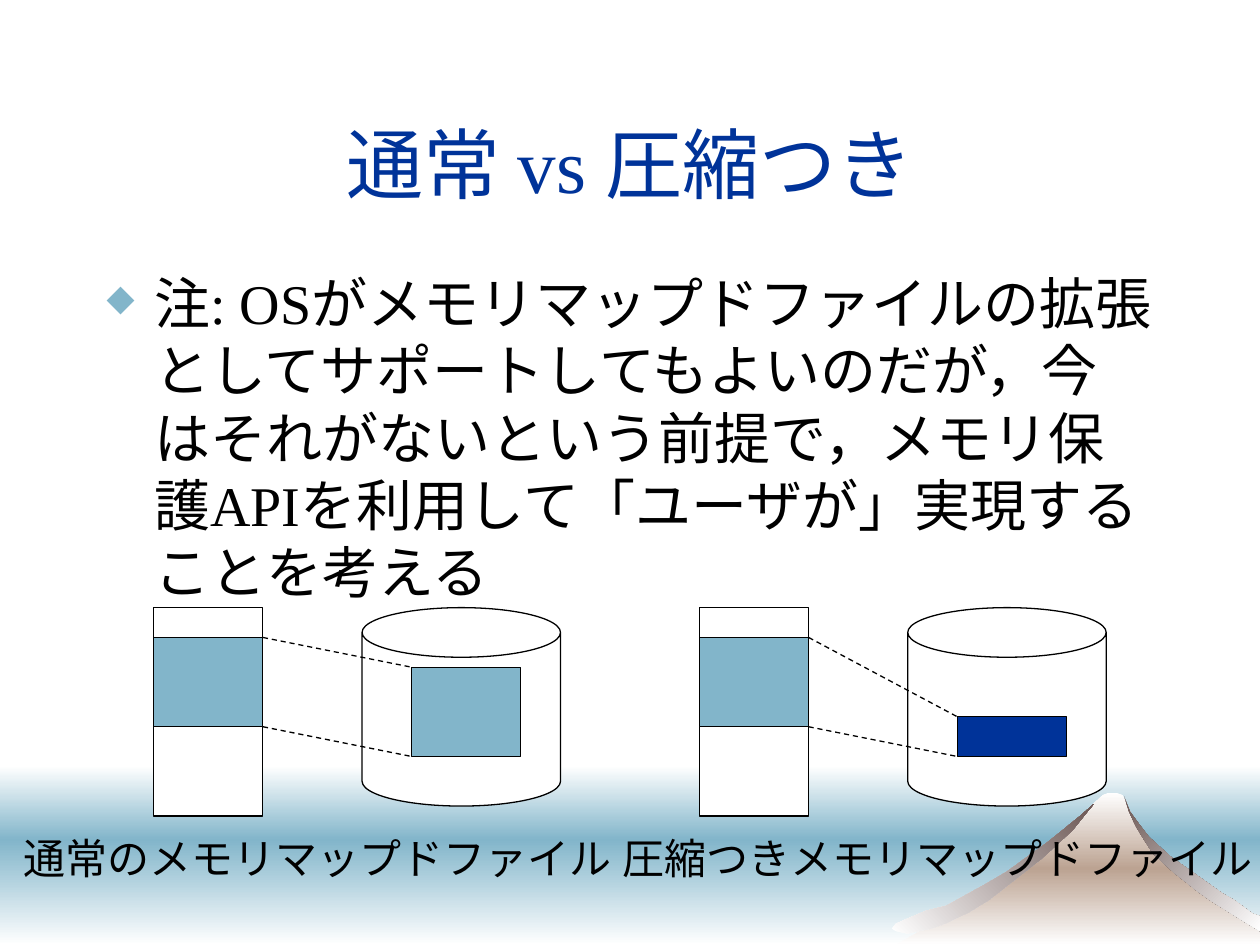
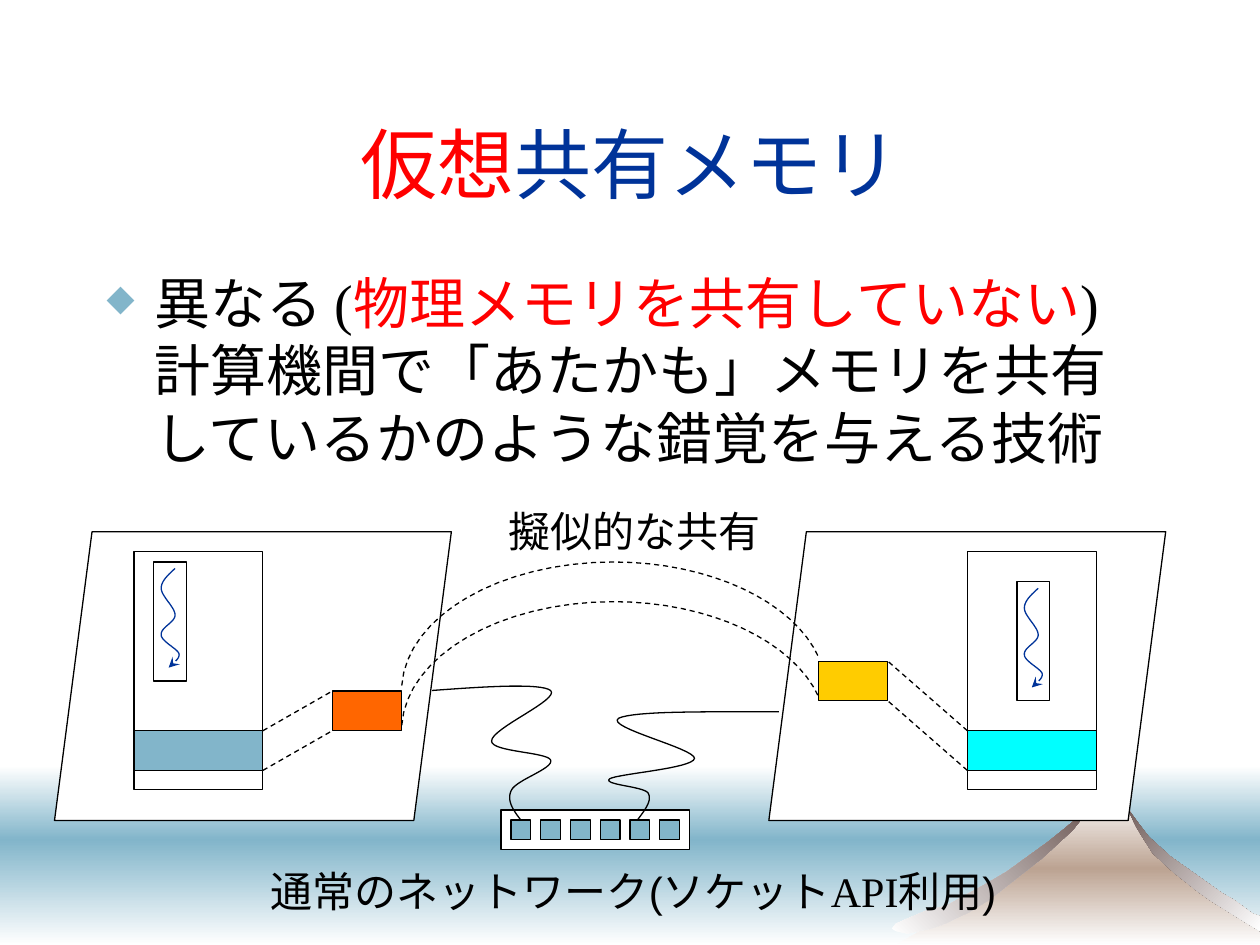
from copy import deepcopy
from dataclasses import dataclass

from lxml import etree
from pptx import Presentation
from pptx.dml.color import RGBColor
from pptx.enum import dml, lang, shapes, text
from pptx.oxml.ns import qn
from pptx.util import Cm, Pt

HUES = {
    "white": "FFFFFF", "black": "000000", "sky": "82B5CA", "navy": "003399",
    "red": "FF0000", "orange": "FF6600", "gold": "FFCC00", "cyan": "00FFFF",
    "sand": "BCA392", "rock": "6B5653",
}
SERIF, SANS = "Times New Roman", "Arial"
KIND = shapes.MSO_SHAPE
WIDE, HIGH = 25.4, 19.05

Point = tuple[float, float]


@dataclass
class Run:
    text: str
    hue: str | None = None
    face: str | None = None


@dataclass
class Slope:
    pts: list[Point]
    stops: list[str]
    angle: int


@dataclass
class Map:
    """A memory page mapped to a block of a file on disk."""
    left: float
    top: float
    tall: float
    hue: str


@dataclass
class Node:
    """A computer with its page, running thread and shared chunk."""
    left: float
    page: float
    thread: Point
    tint: str
    chunk: Point
    hue: str


SLOPES = [
    Slope([(18.06, 19.05), (20.07, 17.91), (21.34, 16.92), (22.07, 16.18),
           (22.23, 16.03), (22.35, 15.98), (22.5, 15.98), (22.63, 16.03),
           (22.94, 16.69), (23.42, 17.27), (24.59, 18.08), (25.4, 18.62),
           (25.4, 19.05)], ["white", "sand", "white"], 90),
    Slope([(23.24, 17.2), (23.65, 17.58), (24.13, 17.96), (24.41, 18.16),
           (25.15, 18.62), (25.4, 18.77), (25.4, 18.47), (25.25, 18.42),
           (24.87, 18.14), (24.64, 18.01), (23.6, 17.27), (23.16, 16.87),
           (22.96, 16.61), (22.78, 16.36), (22.66, 16.05), (22.76, 16.36),
           (22.89, 16.64), (23.04, 16.89)], ["rock", "white"], 45),
    Slope([(21.13, 16.97), (20.29, 17.58), (19.86, 17.83), (19.08, 18.26),
           (18.67, 18.36), (18.29, 18.52), (18.06, 18.62), (17.98, 18.72),
           (18.06, 18.77), (18.29, 18.82), (18.77, 18.72), (19.05, 18.62),
           (19.53, 18.39), (19.94, 18.14), (21.01, 17.3), (21.62, 16.74),
           (21.95, 16.33), (22.05, 16.21), (21.74, 16.48)],
          ["white", "rock"], 315),
]

# Curves: a start point, then three points for each cubic segment.
WAVE = [(.43, .13), (.3, .25), (.15, .38), (.15, .53), (.15, .69), (.43, .91),
        (.43, 1.07), (.43, 1.22), (.13, 1.32), (.15, 1.47), (.15, 1.6),
        (.48, 1.75), (.51, 1.85), (.53, 1.98), (.33, 2.06), (.3, 2.13)]
CABLES = [
    [(8.71, 13.92), (9.8, 13.84), (10.9, 13.77), (11.1, 13.92), (11.3, 14.1),
     (9.91, 14.68), (9.91, 14.94), (9.91, 15.16), (11.02, 15.16),
     (11.1, 15.32), (11.18, 15.49), (10.41, 15.72), (10.31, 15.93),
     (10.21, 16.13), (10.34, 16.33), (10.5, 16.53)],
    [(15.7, 14.35), (14.22, 14.35), (12.78, 14.33), (12.47, 14.48),
     (12.19, 14.66), (14.02, 15.09), (14, 15.29), (13.97, 15.49),
     (12.45, 15.6), (12.29, 15.7), (12.14, 15.82), (12.95, 15.85),
     (13.06, 15.98), (13.16, 16.13), (13, 16.33), (12.85, 16.53)],
]
ARC = [(8.1, 13.82), (8.2, 12.42), (10.08, 11.33), (12.37, 11.33),
       (14.3, 11.33), (16, 12.12), (16.51, 13.26)]


def rgb(hue: str) -> RGBColor:
    return RGBColor.from_string(HUES[hue])


def write(frame, runs: list[Run], *, size: int, hue: str = "black",
          face: str = SERIF, align=None, bullet: bool = False) -> None:
    para = frame.paragraphs[0]
    para.alignment = align
    if bullet:
        props = para._p.get_or_add_pPr()
        props.set("marL", str(Cm(.96)))
        props.set("indent", str(-Cm(.96)))
        color = etree.SubElement(props, qn("a:buClr"))
        etree.SubElement(color, qn("a:srgbClr"), val=HUES["sky"])
        etree.SubElement(props, qn("a:buSzPct"), val="65000")
        etree.SubElement(props, qn("a:buChar"), char="◆")
    for part in runs:
        run = para.add_run()
        run.text = part.text
        run.font.size = Pt(size)
        run.font.name = part.face or face
        run.font.color.rgb = rgb(part.hue or hue)
        run.font.language_id = lang.MSO_LANGUAGE_ID.JAPANESE


def label(slide, x: float, y: float, w: float, runs: list[Run]) -> None:
    box = slide.shapes.add_textbox(Cm(x), Cm(y), Cm(w), Cm(1.27))
    box.text_frame.word_wrap = False
    box.text_frame.auto_size = text.MSO_AUTO_SIZE.SHAPE_TO_FIT_TEXT
    write(box.text_frame, runs, size=24, face=SANS)


def ink(line, hue: str = "black", dash: bool = False) -> None:
    line.color.rgb = rgb(hue)
    line.width = Pt(.75)
    if dash:
        line.dash_style = dml.MSO_LINE.DASH


def block(slide, x: float, y: float, w: float, h: float, hue: str = "white",
          kind=KIND.RECTANGLE, adj: float | None = None):
    shape = slide.shapes.add_shape(kind, Cm(x), Cm(y), Cm(w), Cm(h))
    shape.shadow.inherit = False
    shape.fill.solid()
    shape.fill.fore_color.rgb = rgb(hue)
    ink(shape.line)
    if adj is not None:
        shape.adjustments[0] = adj
    return shape


def dashed(slide, a: Point, b: Point) -> None:
    line = slide.shapes.add_connector(
        shapes.MSO_CONNECTOR.STRAIGHT, *map(Cm, a + b))
    ink(line.line, dash=True)
    etree.SubElement(line._element.spPr, qn("a:effectLst"))


def outline(slide, pts: list[Point], close: bool):
    ends = [(Cm(x), Cm(y)) for x, y in pts]
    form = slide.shapes.build_freeform(*ends[0], scale=1.0)
    form.add_line_segments(ends[1:], close=close)
    shape = form.convert_to_shape()
    shape.shadow.inherit = False
    return shape


def trace(pts: list[Point], steps: int = 16) -> list[Point]:
    """Points along a chain of cubic segments."""
    out = [pts[0]]
    for i in range(0, len(pts) - 1, 3):
        for k in range(1, steps + 1):
            t = k / steps
            s = 1 - t
            mix = (s ** 3, 3 * s * s * t, 3 * s * t * t, t ** 3)
            out.append(tuple(sum(m * p[axis] for m, p in zip(mix, pts[i:i + 4]))
                             for axis in (0, 1)))
    return out


def curve(slide, pts: list[Point], dx: float = 0, dy: float = 0,
          hue: str = "black", dash: bool = False, arrow: bool = False) -> None:
    moved = [(x + dx, y + dy) for x, y in pts]
    shape = outline(slide, trace(moved), close=False)
    shape.fill.background()
    ink(shape.line, hue, dash)
    if arrow:
        etree.SubElement(shape.line._get_or_add_ln(), qn("a:tailEnd"),
                         type="stealth")


def shade(shape, stops: list[str], angle: int) -> None:
    """Fill with evenly spaced stops; the angle runs clockwise."""
    shape.line.fill.background()
    shape.fill.gradient()
    shape.fill.gradient_angle = 360 - angle
    marks = shape._element.find(".//" + qn("a:gsLst"))
    while len(marks) < len(stops):
        marks.insert(1, deepcopy(marks[0]))
    for i, (mark, hue) in enumerate(zip(shape.fill.gradient_stops, stops)):
        mark.color.rgb = rgb(hue)
        mark.position = i / (len(stops) - 1)


def scene(prs, slide) -> None:
    """Draw the horizon and mountain, then move them to the master."""
    parts = []
    for y, h, stops in ((15.44, 1.49, ["white", "sky"]),
                        (16.93, HIGH - 16.93, ["sky", "white"])):
        band = block(slide, 0, y, WIDE, h)
        shade(band, stops, 90)
        parts.append(band)
    for slope in SLOPES:
        side = outline(slide, slope.pts, close=True)
        shade(side, slope.stops, slope.angle)
        parts.append(side)
    tree = prs.slide_master.element.cSld.spTree
    for i, part in enumerate(parts):
        item = part._element
        item.nvSpPr.cNvPr.set("id", str(100 + i))
        tree.insert(2 + i, item)


def page(prs, title: list[Run], body: list[Run]):
    slide = prs.slides.add_slide(prs.slide_layouts[5])
    head = slide.shapes.title
    head.left, head.top, head.width, head.height = map(
        Cm, (1.9, 1.69, 21.6, 3.18))
    frame = head.text_frame
    frame.auto_size = text.MSO_AUTO_SIZE.NONE
    frame.vertical_anchor = text.MSO_ANCHOR.MIDDLE
    write(frame, title, size=44, hue="navy", align=text.PP_ALIGN.CENTER)
    box = slide.shapes.add_textbox(*map(Cm, (1.9, 5.29, 21.6, 11.43)))
    box.text_frame.word_wrap = True
    write(box.text_frame, body, size=32, bullet=True)
    return slide


def draw_map(slide, m: Map) -> None:
    y, w, base = 12.25, 2.2, 3.0
    block(slide, m.left + 4.2, y, 4, 4, kind=KIND.CAN, adj=.25)
    block(slide, m.left, y, w, 4.2)
    block(slide, m.left, y + .6, w, 1.8, "sky")
    block(slide, m.left + 5.2, y + m.top, w, m.tall, m.hue)
    for a, b in ((.6, m.top), (2.4, base)):
        dashed(slide, (m.left + w, y + a), (m.left + 5.2, y + b))


def draw_node(slide, n: Node) -> None:
    wide, small, tall, band = 2.6, 1.4, .8, 14.73
    block(slide, n.left, 10.72, 8, 5.82, kind=KIND.PARALLELOGRAM, adj=.13)
    block(slide, n.page, 11.12, wide, 4.8)
    block(slide, *n.thread, .66, 2.4)
    curve(slide, WAVE, *n.thread, hue="navy", arrow=True)
    block(slide, n.page, band, wide, tall, n.tint)
    x, y = n.chunk
    block(slide, x, y, small, tall, n.hue)
    near, far = (n.page + wide, x) if n.page < x else (n.page, x + small)
    for drop in (0, tall):
        dashed(slide, (near, band + drop), (far, y + drop))


def main() -> None:
    prs = Presentation()
    prs.slide_width, prs.slide_height = Cm(WIDE), Cm(HIGH)

    slide = page(prs, [Run("通常 vs 圧縮つき")], [Run(
        "注: OSがメモリマップドファイルの拡張としてサポートしてもよいのだが，"
        "今はそれがないという前提で，メモリ保護APIを利用して「ユーザが」"
        "実現することを考える")])
    scene(prs, slide)
    for m in (Map(3.1, 1.2, 1.8, "sky"), Map(14.1, 2.2, .8, "navy")):
        draw_map(slide, m)
    label(slide, .23, 16.66, 12.45, [Run("通常のメモリマップドファイル")])
    label(slide, 12.3, 16.66, 13.25, [Run("圧縮つきメモリマップドファイル")])

    slide = page(prs, [Run("仮想", "red"), Run("共有メモリ")], [
        Run("異なる ("), Run("物理メモリを共有していない", "red"),
        Run(")計算機間で「あたかも」メモリを共有しているかのような"
            "錯覚を与える技術")])
    for n in (Node(1.1, 2.7, (3.1, 11.33), "sky", (6.7, 13.93), "orange"),
              Node(15.5, 19.5, (20.5, 11.73), "cyan", (16.5, 13.33), "gold")):
        draw_node(slide, n)
    block(slide, 10.1, 16.33, 3.8, .8)
    for i in range(6):
        block(slide, 10.3 + .6 * i, 16.53, .4, .4, "sky")
    for cable in CABLES:
        curve(slide, cable)
    for drop in (0, .8):
        curve(slide, ARC, dy=drop, dash=True)
    label(slide, 10, 10.06, 5.6, [Run("擬似的な共有")])
    label(slide, 5.21, 17.32, 16.15, [
        Run("通常のネットワーク(ソケット"), Run("API", face=SERIF), Run("利用)")])

    prs.save("out.pptx")


if __name__ == "__main__":
    main()
